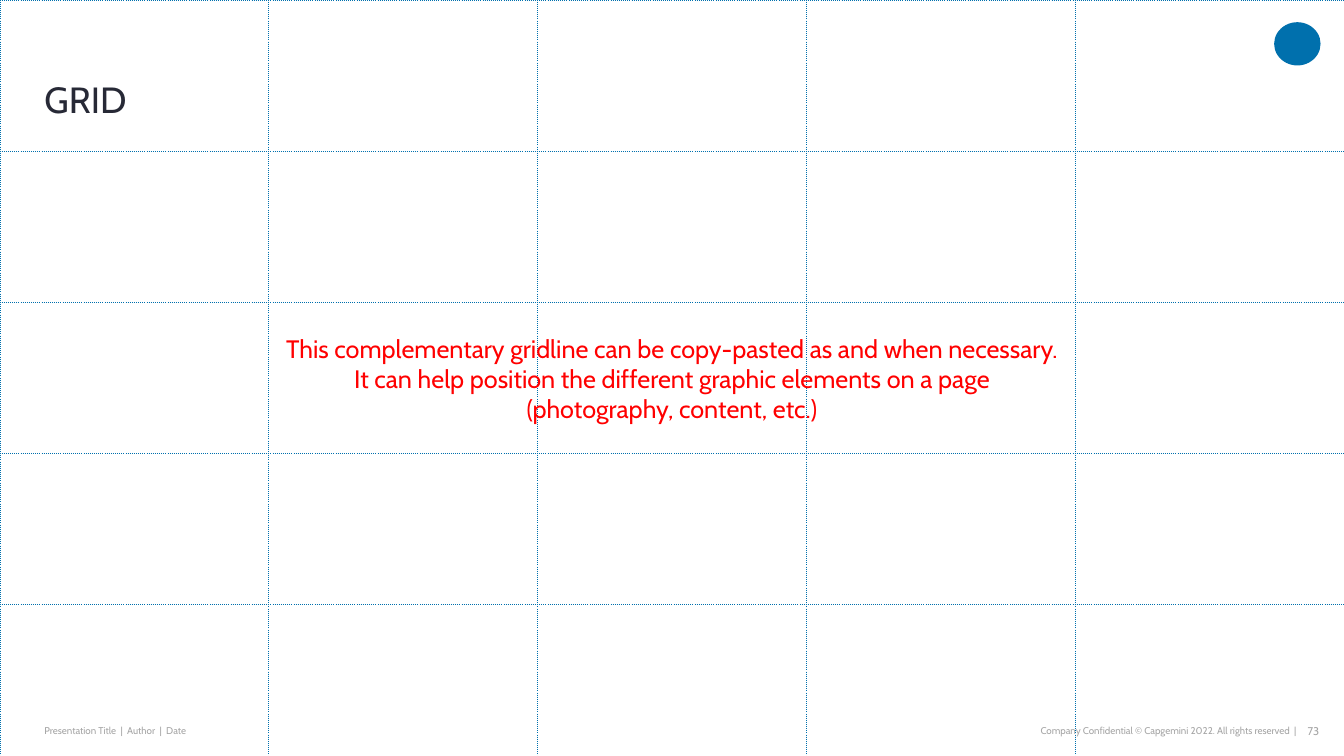
from dataclasses import dataclass

from lxml import etree
from pptx import Presentation
from pptx import util as u
from pptx.dml.color import RGBColor
from pptx.enum import shapes, text
from pptx.oxml import ns


@dataclass(frozen=True)
class Theme:
    """Colours, font and type sizes of the slide."""
    font: str = "Cabin"
    ink: str = "272936"
    blue: str = "0070AD"
    grey: str = "A6A6A6"
    red: str = "FF0000"
    title_size: int = 26
    message_size: int = 18
    number_size: int = 8
    footer_size: int = 7
    grid_width: float = 0.75


def write(frame, wording, size, colour, font, align="LEFT", anchor="TOP",
          margins=(0, 0), spacing=None):
    """Fill a text frame with one paragraph per line of wording."""
    frame.word_wrap = True
    frame.vertical_anchor = getattr(text.MSO_ANCHOR, anchor)
    frame.margin_left = frame.margin_right = u.Cm(margins[0])
    frame.margin_top = frame.margin_bottom = u.Cm(margins[1])
    for index, line in enumerate(wording.split("\n")):
        paragraph = frame.add_paragraph() if index else frame.paragraphs[0]
        paragraph.alignment = getattr(text.PP_ALIGN, align)
        paragraph.line_spacing = spacing
        run = paragraph.add_run()
        run.text = line
        run.font.name = font
        run.font.size = u.Pt(size)
        run.font.color.rgb = RGBColor.from_string(colour)


class Page:
    """The current slide together with its theme."""

    def __init__(self, deck, theme):
        """Add a blank slide to the deck."""
        self.theme = theme
        self.slide = deck.slides.add_slide(deck.slide_layouts[6])

    def label(self, wording, left, top, width, height, **style):
        """Place a text box."""
        box = self.slide.shapes.add_textbox(*map(u.Cm, (left, top, width, height)))
        write(box.text_frame, wording, font=self.theme.font, **style)

    def emblem(self, left, top, width, height):
        """Place a plain oval mark."""
        mark = self.slide.shapes.add_shape(
            shapes.MSO_SHAPE.OVAL, *map(u.Cm, (left, top, width, height)))
        mark.shadow.inherit = False
        mark.fill.solid()
        mark.fill.fore_color.rgb = RGBColor.from_string(self.theme.blue)
        mark.line.fill.background()

    def border(self, cell):
        """Draw dotted lines on all four sides of a cell."""
        properties = cell._tc.get_or_add_tcPr()
        for side in ("lnL", "lnR", "lnT", "lnB"):
            line = etree.SubElement(properties, ns.qn(f"a:{side}"),
                                    w=str(u.Pt(self.theme.grid_width)))
            fill = etree.SubElement(line, ns.qn("a:solidFill"))
            etree.SubElement(fill, ns.qn("a:srgbClr"), val=self.theme.blue)
            etree.SubElement(line, ns.qn("a:prstDash"), val="dot")

    def grid(self, rows, columns, width, height):
        """Cover the slide with an empty, evenly divided table."""
        table = self.slide.shapes.add_table(rows, columns, 0, 0, width, height).table
        table.first_row = table.horz_banding = False
        for cell in table.iter_cells():
            self.border(cell)
            cell.fill.background()


def main():
    """Build and save the slide."""
    deck = Presentation()
    deck.slide_width, deck.slide_height = u.Cm(33.87), u.Cm(19.05)
    theme = Theme()
    page = Page(deck, theme)

    page.emblem(32.11, 0.56, 1.17, 1.09)
    footer = dict(size=theme.footer_size, colour=theme.grey, anchor="MIDDLE")
    page.label("Presentation Title  |  Author  |  Date", 1.12, 18.11, 9.47, 0.61, **footer)
    page.label("Company Confidential © Capgemini 2022. All rights reserved  |",
               20.07, 18.11, 12.6, 0.61, align="RIGHT", **footer)
    page.label("73", 32.61, 18.11, 0.64, 0.61, size=theme.number_size,
               colour=theme.grey, align="RIGHT", margins=(0, 0.13))
    page.label("GRID", 1.12, 1.07, 30.4, 1.98, size=theme.title_size,
               colour=theme.ink, anchor="BOTTOM", spacing=0.9)
    page.grid(5, 5, deck.slide_width, deck.slide_height)
    page.label("This complementary gridline can be copy-pasted as and when necessary.\n"
               "It can help position the different graphic elements on a page\n"
               "(photography, content, etc.)",
               3.23, 8.26, 27.41, 2.57, size=theme.message_size,
               colour=theme.red, align="CENTER", margins=(0.25, 0.13))
    deck.save("out.pptx")


if __name__ == "__main__":
    main()
